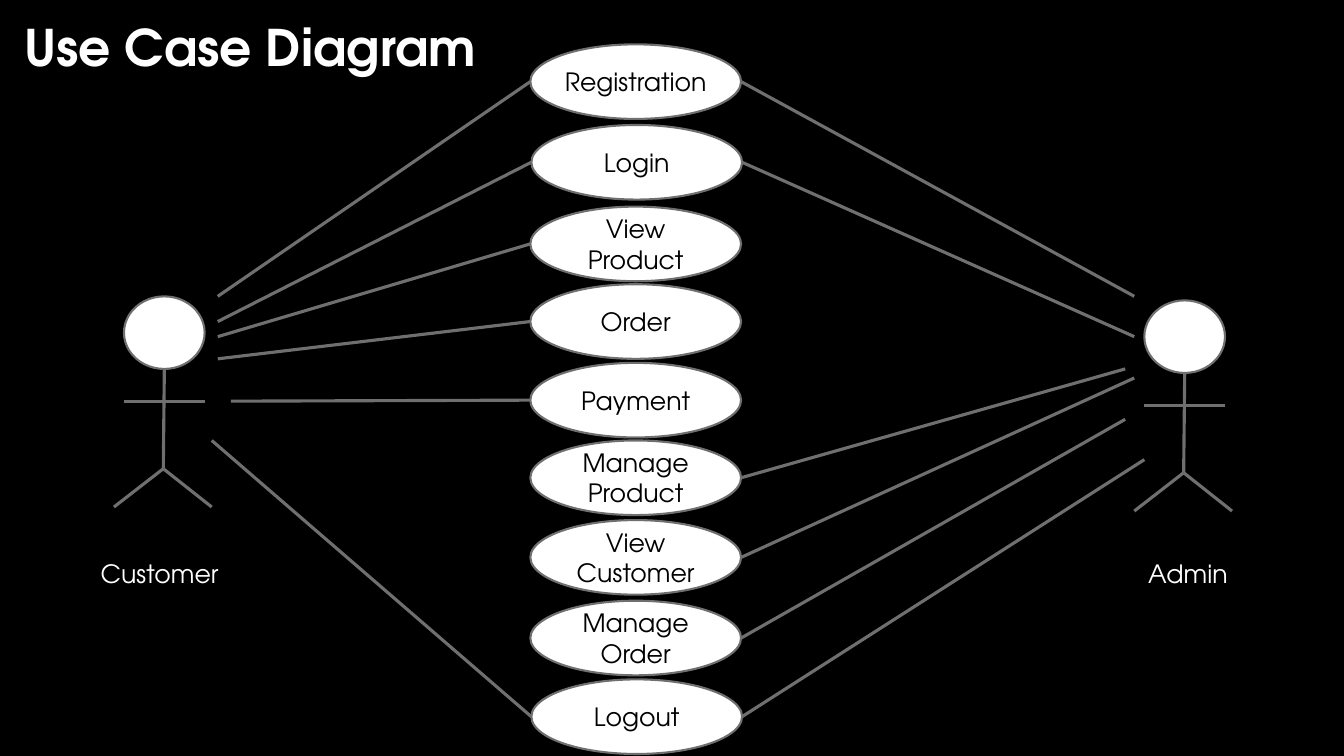
from lxml import etree
from pptx import Presentation
from pptx.dml.color import RGBColor
from pptx.enum.shapes import MSO_CONNECTOR, MSO_SHAPE
from pptx.enum.text import MSO_ANCHOR, MSO_AUTO_SIZE, PP_ALIGN
from pptx.oxml.ns import qn
from pptx.util import Inches, Pt

OVAL = MSO_SHAPE.OVAL
STRAIGHT = MSO_CONNECTOR.STRAIGHT
MIDDLE = MSO_ANCHOR.MIDDLE
GROW = MSO_AUTO_SIZE.SHAPE_TO_FIT_TEXT
CENTER = PP_ALIGN.CENTER

FONT = "TeX Gyre Adventor"
BLACK, WHITE, GRAY = "000000", "FFFFFF", "6F6F6F"
CASE_WIDTH, CASE_HEIGHT = 2.09, 0.74
HEAD_WIDTH, HEAD_HEIGHT = 0.8, 0.72

# label, left, top, customer end, admin end
USE_CASES = [
    ("Registration", 5.26, 0.44, (2.16, 2.94), (11.25, 2.94)),
    ("Login", 5.27, 1.24, (2.16, 3.19), (11.25, 3.34)),
    ("View\nProduct", 5.26, 2.05, (2.16, 3.34), None),
    ("Order", 5.26, 2.82, (2.16, 3.56), None),
    ("Payment", 5.26, 3.6, (2.29, 3.98), None),
    ("Manage\nProduct", 5.26, 4.37, None, (11.16, 3.66)),
    ("View\nCustomer", 5.26, 5.16, None, (11.25, 3.75)),
    ("Manage Order", 5.26, 5.96, None, (11.16, 4.16)),
    ("Logout", 5.27, 6.74, (2.1, 4.37), (11.35, 4.56)),
]


def color(value):
    return RGBColor.from_string(value)


def write_text(frame, text, text_color, alignment=None, **format_values):
    frame.word_wrap = True
    values = {"name": FONT, "size": Pt(18), **format_values}
    for index, words in enumerate(text.split("\n")):
        para = frame.add_paragraph() if index else frame.paragraphs[0]
        para.alignment = alignment
        span = para.add_run()
        span.text = words
        span.font.color.rgb = color(text_color)
        for name, value in values.items():
            setattr(span.font, name, value)


def add_label(page, text, left, top, width, height, **format_values):
    box = page.shapes.add_textbox(*map(Inches, (left, top, width, height)))
    write_text(box.text_frame, text, WHITE, **format_values)
    box.text_frame.auto_size = GROW


def add_oval(page, left, top, width, height):
    oval = page.shapes.add_shape(OVAL, *map(Inches, (left, top, width, height)))
    oval.shadow.inherit = False
    oval.fill.solid()
    oval.fill.fore_color.rgb = color(WHITE)
    oval.line.color.rgb = color(GRAY)
    oval.line.width = Pt(1.5)
    return oval


def add_line(page, start, end):
    line = page.shapes.add_connector(STRAIGHT, *map(Inches, (*start, *end)))
    line.line.color.rgb = color(GRAY)
    line.line.width = Pt(2.25)
    etree.SubElement(line._element.spPr, qn("a:effectLst"))


def add_actor(page, left, top):
    add_oval(page, left, top, HEAD_WIDTH, HEAD_HEIGHT)
    neck = (left + HEAD_WIDTH / 2, top + HEAD_HEIGHT)
    hip = (left + 0.39, top + 1.71)
    arm_height, foot_height = top + 1.04, top + 2.09
    add_line(page, neck, hip)
    add_line(page, (left, arm_height), (left + HEAD_WIDTH, arm_height))
    for foot in (left - 0.1, left + 0.87):
        add_line(page, hip, (foot, foot_height))


def add_use_case(page, label, left, top):
    oval = add_oval(page, left, top, CASE_WIDTH, CASE_HEIGHT)
    frame_values = {"margin_left": 0, "margin_right": 0, "vertical_anchor": MIDDLE}
    for name, value in frame_values.items():
        setattr(oval.text_frame, name, value)
    write_text(oval.text_frame, label, BLACK, CENTER)


def add_links(page, left, top, customer_end, admin_end):
    middle = top + CASE_HEIGHT / 2
    if customer_end:
        add_line(page, (left, middle), customer_end)
    if admin_end:
        add_line(page, (left + CASE_WIDTH, middle), admin_end)


def main():
    deck = Presentation()
    deck.slide_width, deck.slide_height = Inches(13.33), Inches(7.5)
    page = deck.slides.add_slide(deck.slide_layouts[6])
    page.background.fill.solid()
    page.background.fill.fore_color.rgb = color(BLACK)

    add_label(page, "Use Case Diagram", 0.14, 0.11, 6.17, 0.71, size=Pt(36), bold=True)
    add_actor(page, 1.23, 2.94)
    add_actor(page, 11.35, 2.98)
    add_label(page, "Customer", 0.9, 5.49, 1.42, 0.4)
    add_label(page, "Admin", 11.29, 5.49, 1.23, 0.4)
    for label, left, top, *ends in USE_CASES:
        add_use_case(page, label, left, top)
    for label, left, top, *ends in USE_CASES:
        add_links(page, left, top, *ends)

    deck.save("out.pptx")


if __name__ == "__main__":
    main()
